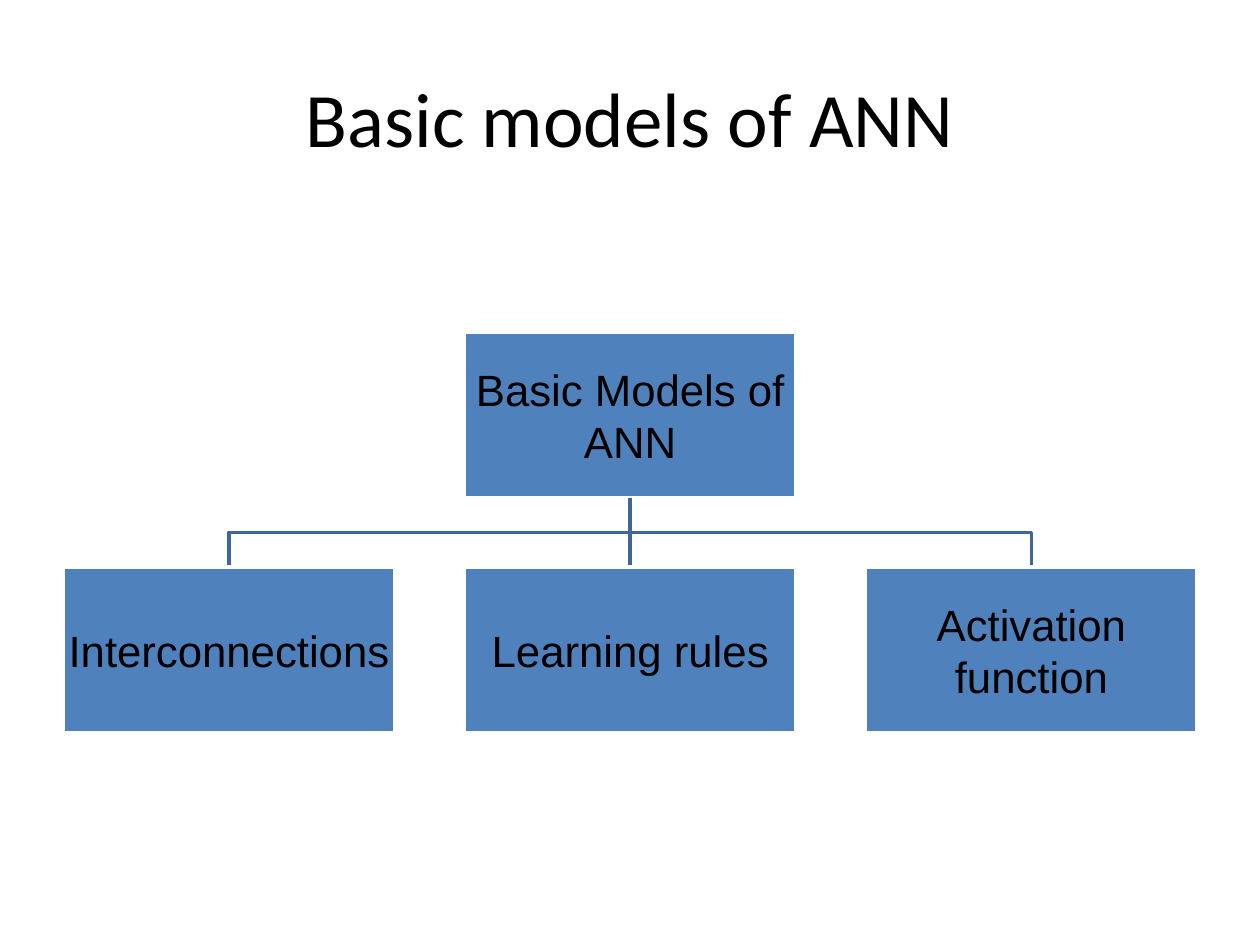
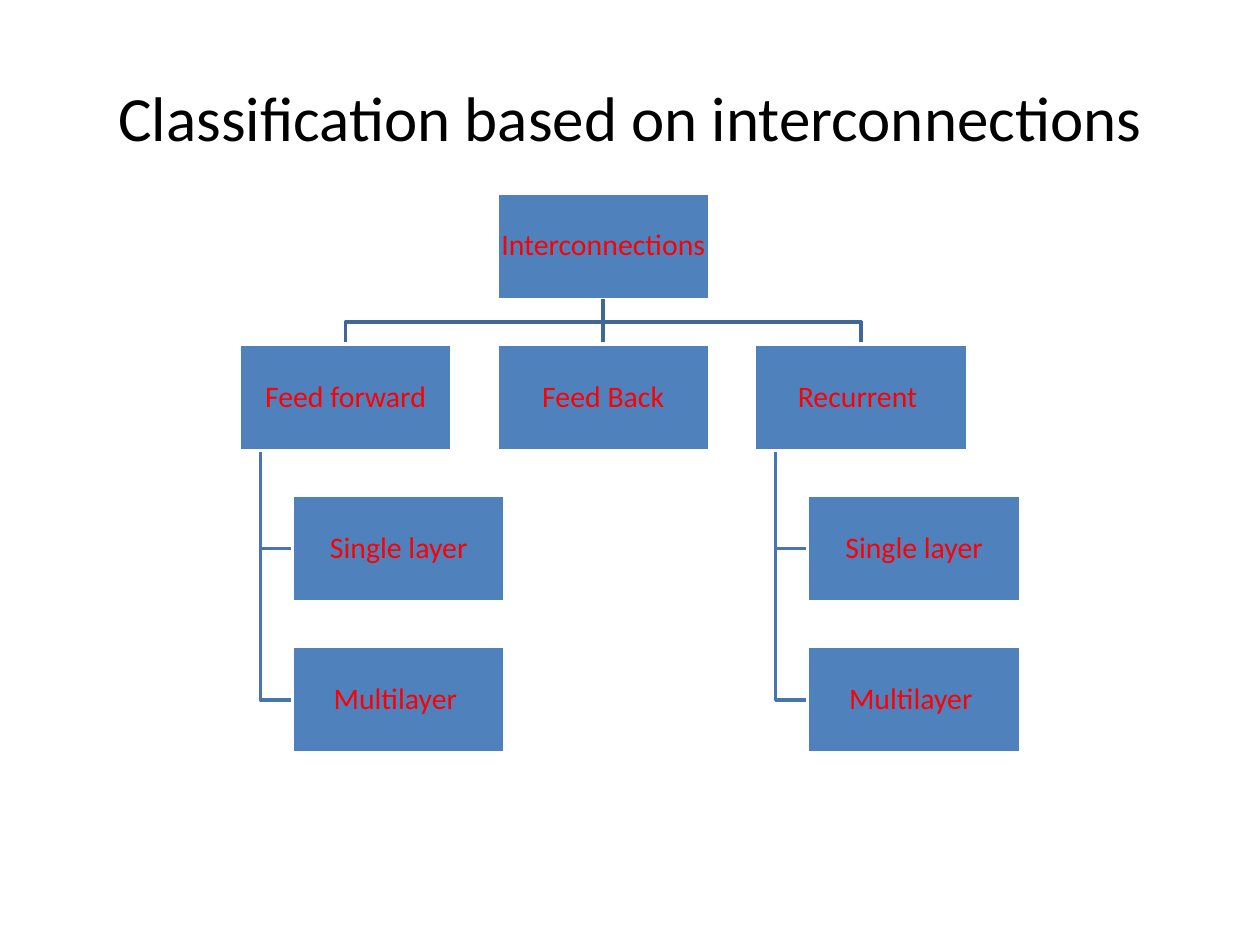
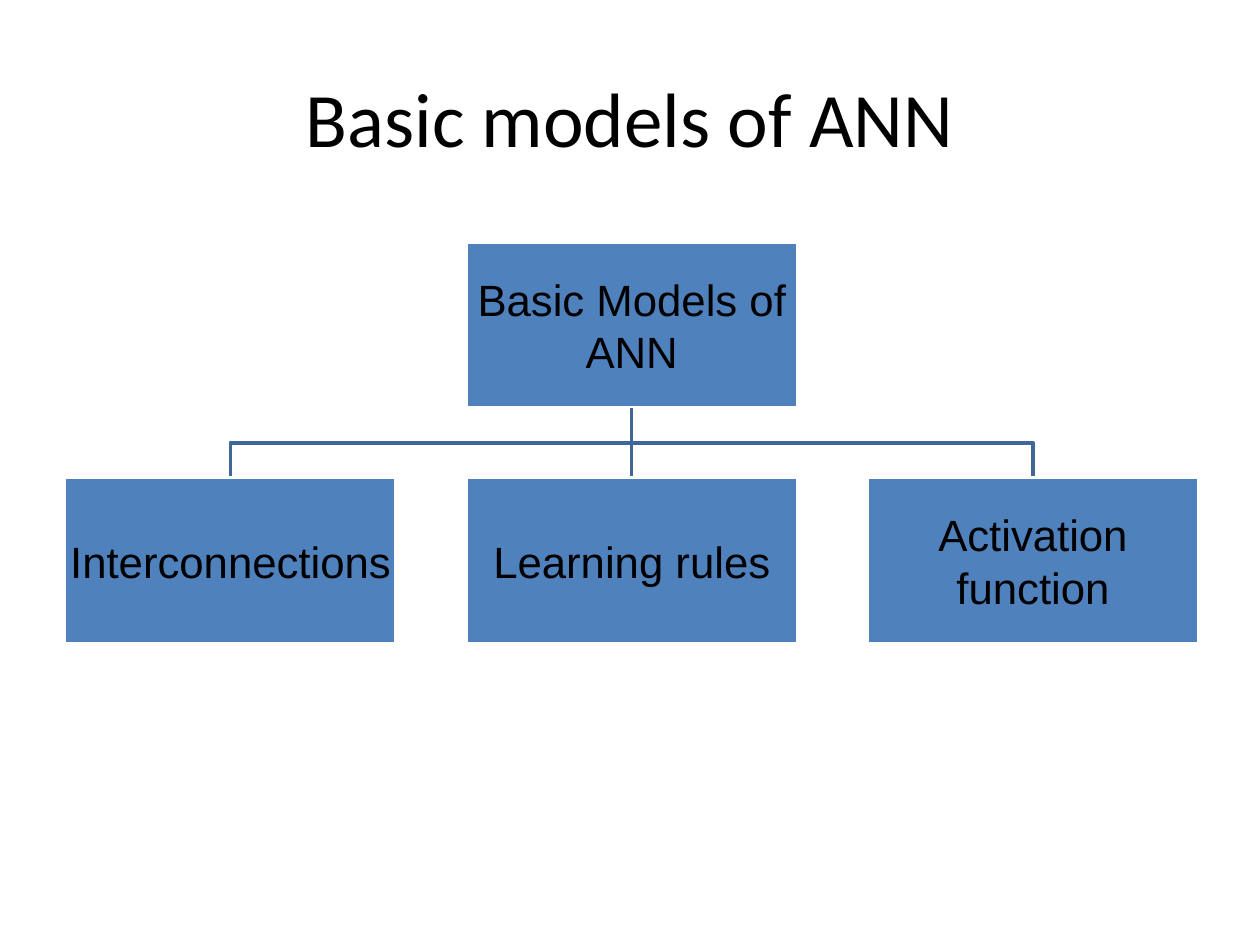
"""Build three slides of organisation charts on neural network models."""
from lxml import etree
from pptx import Presentation
from pptx.dml.color import RGBColor
from pptx.enum import shapes, text
from pptx.oxml import ns
from pptx.util import Pt

COLORS = {"black": "000000", "red": "FF0000", "white": "FFFFFF", "box": "4F81BD",
          "branch": "3F6797", "twig": "4875AC"}

MODEL_TREE = ("Basic Models of ANN", [("Interconnections", []), ("Learning rules", []),
                                      ("Activation function", [])])
LAYERS = ["Single layer", "Multilayer "]
LINK_TREE = ("Interconnections ", [("Feed forward", LAYERS), ("Feed Back", []),
                                   ("Recurrent ", LAYERS)])

MODEL_STYLE = {"width": 189.5, "font": "Arial", "size": 25, "color": "black",
               "inset": 1.25, "spacing": None}
LINK_STYLE = {"width": 121.7, "font": "Calibri", "size": 17, "color": "red",
              "inset": 0.85, "spacing": 0.9}

SLIDES = [
    ("Basic models of ANN", 44, MODEL_TREE, MODEL_STYLE, (36, 189.6)),
    ("Classification based on interconnections", 36, LINK_TREE, LINK_STYLE, (136.6, 110.3)),
    ("Basic models of ANN", 44, MODEL_TREE, MODEL_STYLE, (36.9, 138.4)),
]

HEIGHT_RATIO = 0.5
COLUMN_STEP = 1.21
ROW_STEP = 1.42
LEAF_INDENT = 0.25
TRUNK_INDENT = 0.1
LINE_WIDTH = 2


def color(name):
    return RGBColor.from_string(COLORS[name])


def write(frame, words, font, size, ink):
    frame.word_wrap = True
    frame.vertical_anchor = text.MSO_ANCHOR.MIDDLE
    para = frame.paragraphs[0]
    para.alignment = text.PP_ALIGN.CENTER
    span = para.add_run()
    span.text = words
    span.font.name = font
    span.font.size = Pt(size)
    span.font.color.rgb = color(ink)
    return para


def add_title(page, words, size):
    title = page.shapes.title
    title.left, title.top, title.width, title.height = Pt(36), Pt(21.6), Pt(648), Pt(90)
    write(title.text_frame, words, "Calibri", size, "black")


def add_box(page, words, left, top, style):
    width = style["width"]
    box = page.shapes.add_shape(shapes.MSO_SHAPE.RECTANGLE, Pt(left), Pt(top),
                                Pt(width), Pt(width * HEIGHT_RATIO))
    box.shadow.inherit = False
    box.fill.solid()
    box.fill.fore_color.rgb = color("box")
    box.line.color.rgb = color("white")
    box.line.width = Pt(LINE_WIDTH)
    frame = box.text_frame
    frame.margin_left = frame.margin_right = Pt(style["inset"])
    frame.margin_top = frame.margin_bottom = Pt(style["inset"])
    para = write(frame, words, style["font"], style["size"], style["color"])
    para.line_spacing = style["spacing"]


def add_line(page, points, ink):
    corners = [(Pt(x), Pt(y)) for x, y in points]
    if len(corners) == 2:
        line = page.shapes.add_connector(shapes.MSO_CONNECTOR.STRAIGHT, *corners[0], *corners[1])
    else:
        builder = page.shapes.build_freeform(*corners[0])
        builder.add_line_segments(corners[1:], close=False)
        line = builder.convert_to_shape()
        line.fill.background()
    line.line.color.rgb = color(ink)
    line.line.width = Pt(LINE_WIDTH)
    etree.SubElement(line.element.spPr, ns.qn("a:effectLst"))


def add_tree(page, tree, style, origin):
    root, branches = tree
    left, top = origin
    width = style["width"]
    height = width * HEIGHT_RATIO
    row_tops = [top + row * height * ROW_STEP for row in range(4)]
    columns = [left + col * width * COLUMN_STEP for col in range(len(branches))]
    root_left = (columns[0] + columns[-1]) / 2
    root_x = root_left + width / 2
    root_bottom = top + height
    middle = (root_bottom + row_tops[1]) / 2

    add_box(page, root, root_left, top, style)
    for col, (column, (name, leaves)) in enumerate(zip(columns, branches)):
        branch_x = column + width / 2
        start, end = (root_x, root_bottom), (branch_x, row_tops[1])
        is_center = 2 * col == len(branches) - 1
        bend = [] if is_center else [(root_x, middle), (branch_x, middle)]
        add_line(page, [start, *bend, end], "branch")
        trunk_x = column + width * TRUNK_INDENT
        leaf_left = column + width * LEAF_INDENT
        for leaf, leaf_top in zip(leaves, row_tops[2:]):
            leaf_y = leaf_top + height / 2
            add_line(page, [(trunk_x, row_tops[1] + height), (trunk_x, leaf_y),
                            (leaf_left, leaf_y)], "twig")
            add_box(page, leaf, leaf_left, leaf_top, style)
        add_box(page, name, column, row_tops[1], style)


def main():
    deck = Presentation()
    deck.slide_width, deck.slide_height = Pt(720), Pt(540)
    for title, size, tree, style, origin in SLIDES:
        page = deck.slides.add_slide(deck.slide_layouts[5])
        add_title(page, title, size)
        add_tree(page, tree, style, origin)
    deck.save("out.pptx")


if __name__ == "__main__":
    main()
